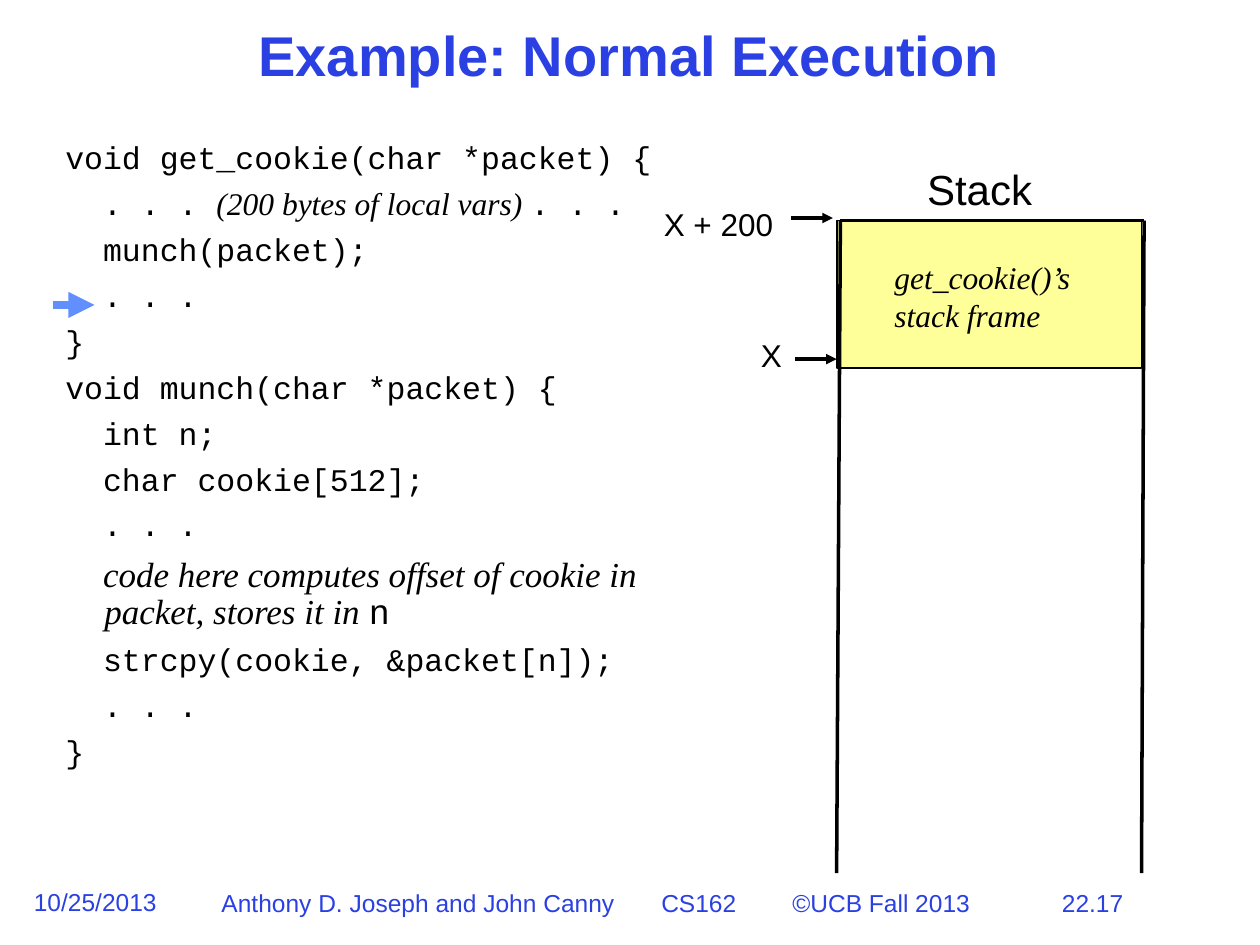
from dataclasses import dataclass

from lxml import etree
from pptx import Presentation
from pptx.dml.color import RGBColor
from pptx.enum.shapes import MSO_CONNECTOR, MSO_SHAPE
from pptx.enum.text import MSO_ANCHOR, PP_ALIGN
from pptx.oxml.ns import qn
from pptx.util import Inches, Pt

LINE = MSO_CONNECTOR.STRAIGHT
RECT = MSO_SHAPE.RECTANGLE
MIDDLE = MSO_ANCHOR.MIDDLE
CENTER = PP_ALIGN.CENTER
COLORS = {"blue": "2A40E2", "ink": "000000", "frame": "FFFF99", "step": "618FFD"}
SANS, MONO, SERIF = "Arial", "Courier New", "Times New Roman"


@dataclass
class Label:
    text: str
    box: tuple
    size: int
    color: str = "ink"
    font: str = SANS
    italic: bool = False
    tabs: tuple = ()


@dataclass
class Stroke:
    start: tuple
    end: tuple
    color: str = "ink"
    width: int = 2
    head: bool = False


@dataclass
class Part:
    text: str
    font: str = MONO
    size: int = 18


FOOTER = [
    Label("22.17", (8.33, 7, 1.36, 0.33), 14, "blue"),
    Label("10/25/2013", (0.17, 6.99, 1.18, 0.33), 14, "blue"),
    Label("Anthony D. Joseph and John Canny\tCS162\t©UCB Fall 2013",
          (1.66, 7, 6.14, 0.33), 14, "blue", tabs=(3.49, 4.53)),
]
LABELS = [
    Label("Stack", (7.26, 1.25, 1.03, 0.5), 24),
    Label("X", (5.94, 2.62, 0.37, 0.4), 18),
    Label("X + 200", (5.17, 1.58, 1.07, 0.4), 18),
    Label("get_cookie()’s\vstack frame", (7, 2, 1.69, 0.7), 18,
          font=SERIF, italic=True),
]
STROKES = [
    Stroke((6.67, 1.75), (6.64, 6.93)),
    Stroke((9.08, 1.75), (9.06, 6.93)),
    Stroke((6.67, 1.75), (9.08, 1.75)),
    Stroke((6.31, 2.85), (6.64, 2.85), head=True),
    Stroke((6.28, 1.73), (6.61, 1.73), head=True),
    Stroke((0.42, 2.42), (0.75, 2.42), "step", 5, True),
]
CODE = [
    [Part("void get_cookie(char *packet) {")],
    [Part("  . . . "), Part("(200 bytes of local vars) ", SERIF), Part(". . .")],
    [Part("  munch(packet);")],
    [Part("  . . .")],
    [Part("}")],
    [Part("void munch(char *packet) {")],
    [Part("  int n;")],
    [Part("  char cookie[512];")],
    [Part("  . . .")],
    [Part("  "),
     Part("code here computes offset of cookie in packet, stores it in ", SERIF, 20),
     Part("n", MONO, 20)],
    [Part("  strcpy(cookie, &packet[n]);")],
    [Part("  . . .")],
    [Part("}")],
]


def rgb(name: str) -> RGBColor:
    return RGBColor.from_string(COLORS[name])


def style(run, font: str, size: int, color: str, italic=False, bold=False) -> None:
    run.font.name = font
    run.font.size = Pt(size)
    run.font.color.rgb = rgb(color)
    run.font.italic = italic
    run.font.bold = bold


def add_box(slide, box: tuple):
    frame = slide.shapes.add_textbox(*map(Inches, box)).text_frame
    frame.word_wrap = True
    return frame


def add_label(slide, label: Label) -> None:
    frame = add_box(slide, label.box)
    frame.margin_right = 0
    frame.text = label.text
    para = frame.paragraphs[0]
    if label.tabs:
        stops = etree.SubElement(para._p.get_or_add_pPr(), qn("a:tabLst"))
        for pos in label.tabs:
            etree.SubElement(stops, qn("a:tab"), pos=str(Inches(pos)), algn="l")
    for run in para.runs:
        style(run, label.font, label.size, label.color, label.italic)


def add_stroke(slide, stroke: Stroke) -> None:
    line = slide.shapes.add_connector(
        LINE, *map(Inches, stroke.start + stroke.end))
    line.line.color.rgb = rgb(stroke.color)
    line.line.width = Pt(stroke.width)
    if stroke.head:
        etree.SubElement(line.line._get_or_add_ln(), qn("a:tailEnd"), type="triangle")
    etree.SubElement(line._element.spPr, qn("a:effectLst"))


def add_code(slide) -> None:
    frame = add_box(slide, (0.42, 1.08, 5.5, 6.17))
    frame.margin_right = Inches(0.2)
    for i, parts in enumerate(CODE):
        para = frame.add_paragraph() if i else frame.paragraphs[0]
        props = para._p.get_or_add_pPr()
        props.set("marL", str(Inches(0.31)))
        props.set("indent", str(-Inches(0.31)))
        para.line_spacing = 0.9
        if i:
            para.space_before = Pt(7.5 if parts[-1].size == 20 else 6.8)
        for part in parts:
            run = para.add_run()
            run.text = part.text
            style(run, part.font, part.size, "ink", part.font == SERIF)


def set_title(slide, text: str) -> None:
    title = slide.shapes.title
    title.left, title.top, title.width, title.height = map(
        Inches, (1.08, 0.17, 7.83, 0.58))
    frame = title.text_frame
    frame.text = text
    frame.vertical_anchor = MIDDLE
    para = frame.paragraphs[0]
    para.alignment = CENTER
    para.line_spacing = 0.9
    style(para.runs[0], SANS, 32, "blue", bold=True)


def add_frame(slide) -> None:
    """Draw the filled part of the stack."""
    rect = slide.shapes.add_shape(RECT, *map(Inches, (6.64, 1.75, 2.42, 1.17)))
    rect.shadow.inherit = False
    rect.fill.solid()
    rect.fill.fore_color.rgb = rgb("frame")
    rect.line.color.rgb = rgb("ink")
    rect.line.width = Pt(1)


def main() -> None:
    deck = Presentation()
    deck.slide_width, deck.slide_height = Inches(10), Inches(7.5)
    slide = deck.slides.add_slide(deck.slide_layouts[5])
    set_title(slide, "Example: Normal Execution")
    add_frame(slide)
    add_code(slide)
    for stroke in STROKES:
        add_stroke(slide, stroke)
    for label in FOOTER + LABELS:
        add_label(slide, label)
    deck.save("out.pptx")


if __name__ == "__main__":
    main()
